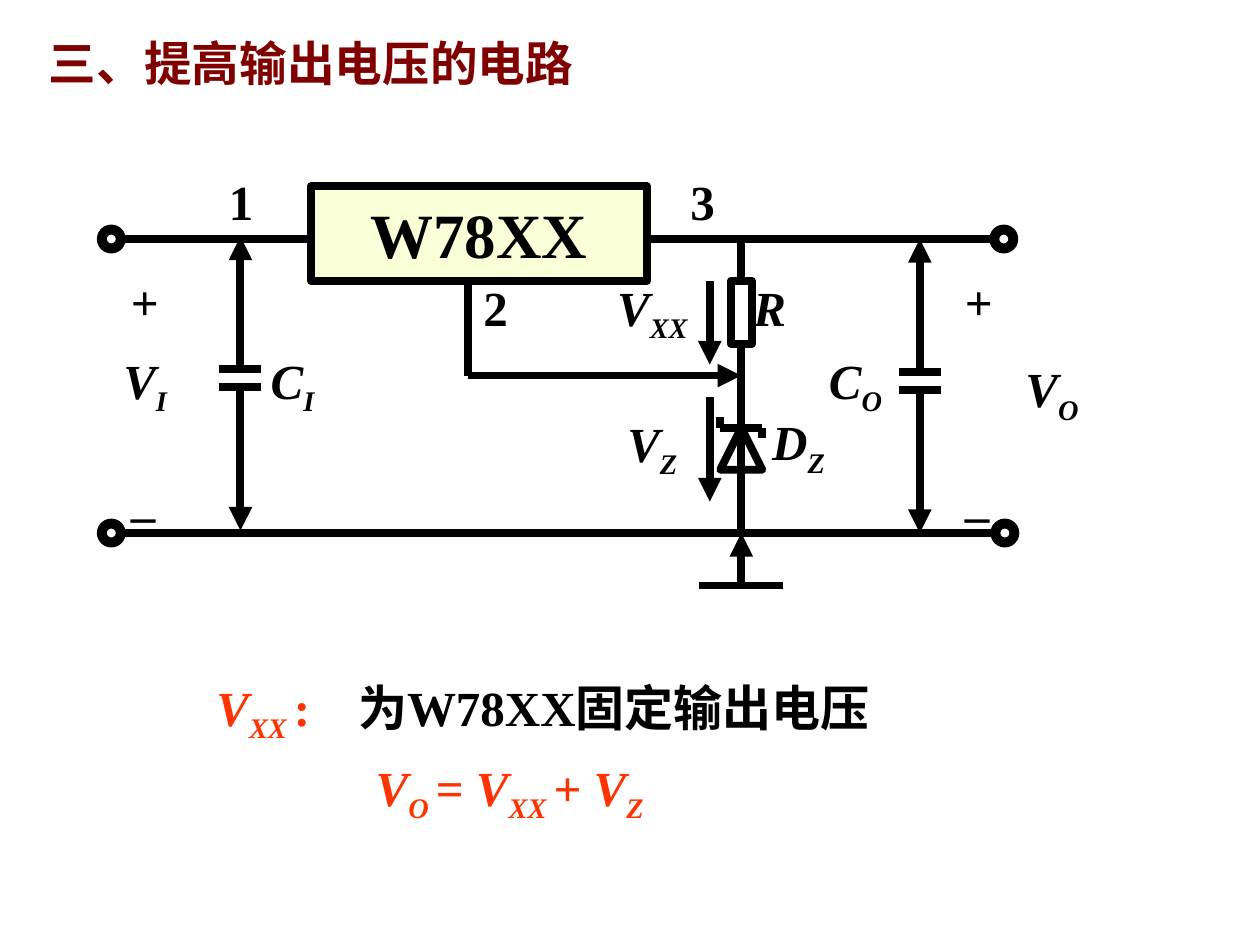
"""Build the slide on raising the output voltage of a three-terminal regulator."""
from lxml.etree import SubElement
from pptx import Presentation
from pptx.dml.color import RGBColor
from pptx.enum.shapes import MSO_CONNECTOR, MSO_SHAPE
from pptx.enum.text import MSO_ANCHOR, PP_ALIGN
from pptx.oxml.ns import qn
from pptx.util import Pt

BLACK = RGBColor(0x00, 0x00, 0x00)
MAROON = RGBColor(0x80, 0x00, 0x00)
ORANGE = RGBColor(0xFF, 0x33, 0x00)
CREAM = RGBColor(0xF9, 0xFF, 0xD7)
SERIF, SANS = "Times New Roman", "Arial"
STROKE = 4.5

TOP, BOTTOM = 136.6, 304.6
LEFT_END, RIGHT_END = 70, 567.4
BRANCH, ADJUST, TAP_Y = 423.6, 267.6, 214.6
CHIP = (177.6, 106.4, 192, 54)
CHIP_RIGHT, CHIP_BOTTOM = 369.6, 160.4
RESISTOR = (417.6, 160.4, 12, 36)
DIODE = (411.6, 244.4, 24, 24)
ARROW_X = 405.6

WIRES = [
    (LEFT_END, TOP, CHIP[0], TOP, ""),
    (CHIP_RIGHT, TOP, RIGHT_END, TOP, ""),
    (LEFT_END, BOTTOM, RIGHT_END, BOTTOM, ""),
    (ADJUST, CHIP_BOTTOM, ADJUST, TAP_Y, ""),
    (ADJUST, TAP_Y, BRANCH, TAP_Y, "tail"),
    (BRANCH, TOP, BRANCH, 160.4, ""),
    (BRANCH, 196.4, BRANCH, BOTTOM, ""),
    (BRANCH, BOTTOM, BRANCH, 334.6, "head"),
    (BRANCH - 24, 334.6, BRANCH + 24, 334.6, ""),
    (411.6, 244.4, 435.6, 244.4, ""),
    (411.6, 244.4, 411.6, 238.4, ""),
    (435.6, 244.4, 435.6, 250.4, ""),
    (ARROW_X, 160.4, ARROW_X, 208.4, "tail"),
    (ARROW_X, 226.6, ARROW_X, 286.6, "tail"),
]
CAPACITORS = [(137.4, 135.2), (525.6, TOP)]
TERMINALS = [(63.6, TOP), (63.6, BOTTOM), (573.6, TOP), (574.2, BOTTOM)]

PIN_LABELS = [("1", 123.8, 94.4), ("3", 387.4, 94.4), ("2", 269.2, 154.8)]
SYMBOLS = [
    ("V", "I", 63.4, 196.6),
    ("C", "I", 147.6, 196.6),
    ("C", "O", 466.6, 196.6),
    ("V", "O", 578.9, 201.6),
    ("V", "XX", 345.6, 154.8),
    ("V", "Z", 351.4, 232.6),
    ("D", "Z", 434.2, 231.8),
    ("R", "", 423.4, 154.8),
]
POLARITY_LEFTS = [67.7, 544.3]

MAIN, SUB, PLAIN = (True, 0), (True, -25), (False, 0)
DEFINITION = [
    ("V", MAIN, SERIF, ORANGE), ("XX ", SUB, SERIF, ORANGE), (":\t", PLAIN, SERIF, ORANGE),
    ("为", PLAIN, SANS, BLACK), ("W78XX", PLAIN, SERIF, BLACK), ("固定输出电压", PLAIN, SANS, BLACK),
]
EQUATION = [
    (text, style, SERIF, ORANGE)
    for text, style in [
        ("V", MAIN), ("O ", SUB), ("= ", PLAIN), ("V", MAIN),
        ("XX ", SUB), ("+ ", PLAIN), ("V", MAIN), ("Z", SUB),
    ]
]


def add_line(slide, x1, y1, x2, y2, arrow=""):
    line = slide.shapes.add_connector(MSO_CONNECTOR.STRAIGHT, Pt(x1), Pt(y1), Pt(x2), Pt(y2))
    line.line.color.rgb = BLACK
    line.line.width = Pt(STROKE)
    if arrow:
        SubElement(line.line._get_or_add_ln(), qn(f"a:{arrow}End"), type="triangle")
    SubElement(line._element.spPr, qn("a:effectLst"))


def add_outline(slide, kind, left, top, width, height, fill=None):
    shape = slide.shapes.add_shape(kind, Pt(left), Pt(top), Pt(width), Pt(height))
    shape.shadow.inherit = False
    shape.line.color.rgb = BLACK
    shape.line.width = Pt(STROKE)
    if fill is None:
        shape.fill.background()
    else:
        shape.fill.solid()
        shape.fill.fore_color.rgb = fill
    return shape


def format_run(run, style=PLAIN, font=SERIF, color=BLACK, size=28):
    italic, baseline = style
    run.font.size = Pt(size)
    run.font.bold = True
    run.font.italic = italic
    run.font.color.rgb = color
    run.font.name = font
    properties = run._r.get_or_add_rPr()
    SubElement(properties, qn("a:ea"), typeface=font)
    if baseline:
        properties.set("baseline", str(baseline * 1000))


def add_text(slide, left, top, width, height, paragraphs, spacing=1.0, size=28):
    frame = slide.shapes.add_textbox(Pt(left), Pt(top), Pt(width), Pt(height)).text_frame
    frame.word_wrap = True
    for index, pieces in enumerate(paragraphs):
        paragraph = frame.add_paragraph() if index else frame.paragraphs[0]
        paragraph.line_spacing = spacing
        for text, style, font, color in pieces:
            run = paragraph.add_run()
            run.text = text
            format_run(run, style, font, color, size)
    return frame


def add_circuit(slide):
    for wire in WIRES:
        add_line(slide, *wire)
    for x, top in CAPACITORS:
        add_line(slide, x, top, x, top + 78, "head")
        add_line(slide, x, top + 83.8, x, top + 168, "tail")
        for plate in (top + 75.8, top + 86.2):
            add_line(slide, x - 12, plate, x + 12, plate)
    for x, y in TERMINALS:
        ring = add_outline(slide, MSO_SHAPE.DONUT, x - 6, y - 6, 12, 12)
        ring.adjustments[0] = 0.09
    add_outline(slide, MSO_SHAPE.RECTANGLE, *RESISTOR)
    add_outline(slide, MSO_SHAPE.ISOSCELES_TRIANGLE, *DIODE)
    chip = add_outline(slide, MSO_SHAPE.RECTANGLE, *CHIP, fill=CREAM)
    chip.text_frame.text = "W78XX"
    chip.text_frame.vertical_anchor = MSO_ANCHOR.MIDDLE
    paragraph = chip.text_frame.paragraphs[0]
    paragraph.alignment = PP_ALIGN.CENTER
    format_run(paragraph.runs[0], size=36)


def add_labels(slide):
    for text, left, top in PIN_LABELS:
        add_text(slide, left, top, 30, 41, [[(text, PLAIN, SERIF, BLACK)]])
    for letter, subscript, left, top in SYMBOLS:
        pieces = [(letter, MAIN, SERIF, BLACK)]
        if subscript:
            pieces.append((subscript, SUB, SERIF, BLACK))
        add_text(slide, left, top, 66, 45, [pieces])
    for left in POLARITY_LEFTS:
        signs = [[(sign, PLAIN, SERIF, BLACK)] for sign in "+_"]
        frame = add_text(slide, left, 128.2, 32, 178, signs, 1.7)
        frame.paragraphs[1].space_before = Pt(54.7)


def add_formulas(slide):
    frame = add_text(slide, 116.6, 375.8, 391.7, 139.7, [DEFINITION, EQUATION], 1.2)
    definition, equation = frame.paragraphs
    tabs = SubElement(definition._p.get_or_add_pPr(), qn("a:tabLst"))
    SubElement(tabs, qn("a:tab"), pos=str(Pt(81)), algn="l")
    margin = equation._p.get_or_add_pPr()
    margin.set("marL", str(Pt(91)))
    margin.set("indent", "0")


def main():
    presentation = Presentation()
    presentation.slide_width, presentation.slide_height = Pt(720), Pt(540)
    slide = presentation.slides.add_slide(presentation.slide_layouts[6])
    add_circuit(slide)
    add_labels(slide)
    add_formulas(slide)
    title = [("三、提高输出电压的电路", PLAIN, SANS, MAROON)]
    add_text(slide, 20.9, 19.4, 459.4, 40.3, [title], 0.9, 27.2)
    presentation.save("out.pptx")


if __name__ == "__main__":
    main()
